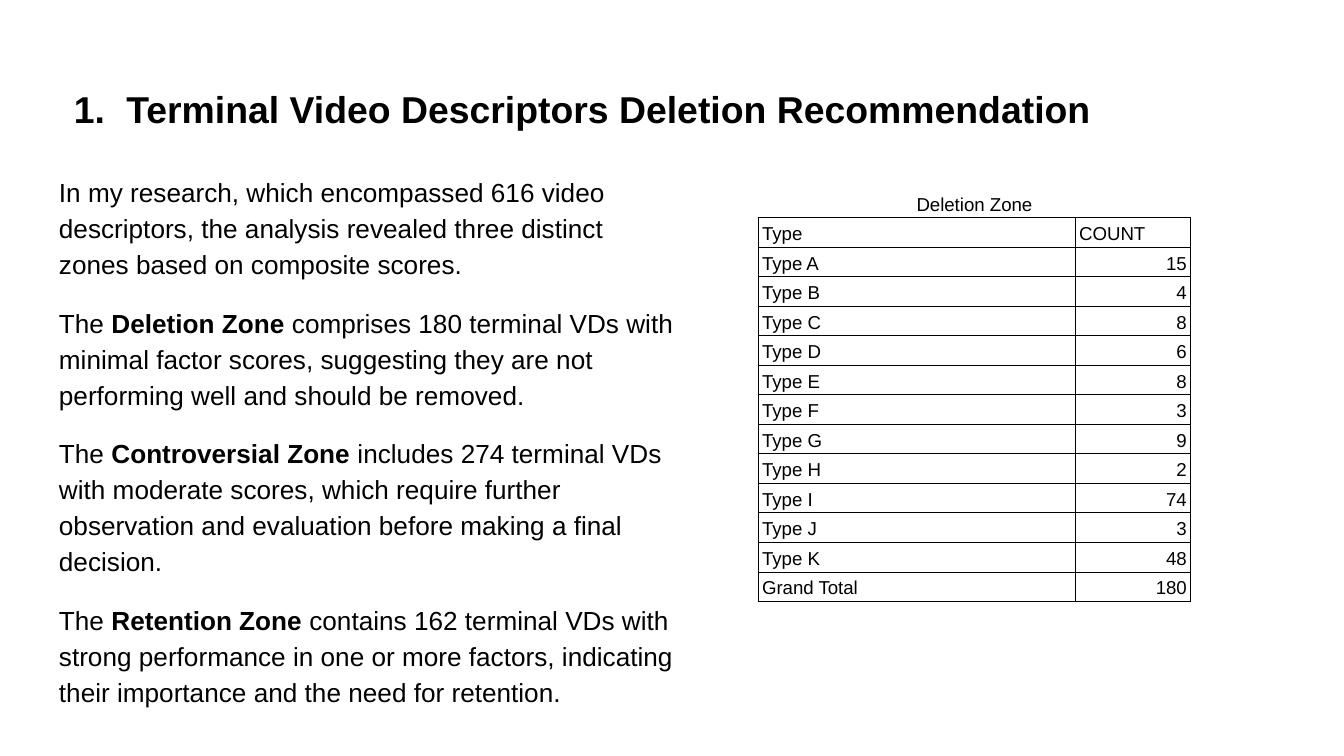
from lxml.etree import SubElement as Sub
from pptx import Presentation
from pptx.dml.color import RGBColor
from pptx.enum.text import MSO_ANCHOR as Anchor, MSO_AUTO_SIZE as Auto, PP_ALIGN as Align
from pptx.oxml import parse_xml
from pptx.oxml.ns import nsdecls, qn
from pptx.util import Inches, Pt

BODY = [
    "In my research, which encompassed 616 video descriptors, the analysis "
    "revealed three distinct zones based on composite scores.",
    "The *Deletion Zone* comprises 180 terminal VDs with minimal factor scores, "
    "suggesting they are not performing well and should be removed.",
    "The *Controversial Zone* includes 274 terminal VDs with moderate scores, which "
    "require further observation and evaluation before making a final decision.",
    "The *Retention Zone* contains 162 terminal VDs with strong performance in one "
    "or more factors, indicating their importance and the need for retention.",
]
COUNTS = [15, 4, 8, 6, 8, 3, 9, 2, 74, 3, 48]


def color(code):
    return RGBColor.from_string(code)


class Deck:
    face, ink, gap = "Arial", "000000", 1.15

    def __init__(self, wide, high):
        self.prs = Presentation()
        self.prs.slide_width, self.prs.slide_height = Inches(wide), Inches(high)
        self.slide = self.prs.slides.add_slide(self.prs.slide_layouts[5])

    def style(self, para, size, bold=False, align=Align.LEFT):
        para.alignment, para.line_spacing = align, self.gap
        font = para.font
        font.name, font.size, font.bold = self.face, Pt(size), bold
        font.color.rgb = color(self.ink)

    def frame(self, frame):
        frame.word_wrap, frame.auto_size = True, Auto.NONE
        frame.vertical_anchor = Anchor.TOP
        frame.margin_left = frame.margin_right = Inches(0.1)
        frame.margin_top = frame.margin_bottom = Inches(0.1)

    def title(self, text, left, top, wide, high):
        shape = self.slide.shapes.title
        shape.left, shape.top = Inches(left), Inches(top)
        shape.width, shape.height = Inches(wide), Inches(high)
        self.frame(shape.text_frame)
        para = shape.text_frame.paragraphs[0]
        para.text = text
        para.line_spacing, para.space_before = self.gap, Pt(12)
        # Automatic number with a hanging indent
        props = para._p.get_or_add_pPr()
        props.set("marL", str(Inches(0.5)))
        props.set("indent", str(Inches(-0.39)))
        Sub(Sub(props, qn("a:buClr")), qn("a:srgbClr"), val=self.ink)
        Sub(props, qn("a:buFont"), typeface=self.face)
        Sub(props, qn("a:buAutoNum"), type="arabicPeriod")
        self.style(para, 20, bold=True)

    def text(self, parts, left, top, wide, high):
        box = self.slide.shapes.add_textbox(*map(Inches, (left, top, wide, high)))
        frame = box.text_frame
        self.frame(frame)
        for i, part in enumerate(parts):
            para = frame.add_paragraph() if i else frame.paragraphs[0]
            para.space_before = Pt(12)
            self.style(para, 14)
            # Text between asterisks is bold
            for j, piece in enumerate(part.split("*")):
                run = para.add_run()
                run.text = piece
                if j % 2:
                    run.font.bold = True
        para.space_after = Pt(12)

    def border(self, cell, sides):
        props = cell._tc.get_or_add_tcPr()
        for i, side in enumerate("LRTB"):
            fill = "<a:noFill/>"
            if side in sides:
                fill = f'<a:solidFill><a:srgbClr val="{self.ink}"/></a:solidFill>'
            line = f'<a:ln{side} {nsdecls("a")} w="{Pt(0.6)}">{fill}</a:ln{side}>'
            props.insert(i, parse_xml(line))

    def cell(self, cell, text, align, sides):
        cell.text = text
        cell.vertical_anchor = Anchor.BOTTOM
        cell.margin_left = cell.margin_right = Inches(0.03)
        cell.margin_top = cell.margin_bottom = Inches(0.02)
        cell.fill.background()
        self.border(cell, sides)
        self.style(cell.text_frame.paragraphs[0], 10, align=align)

    def table(self, head, rows, left, top, cols, high):
        count = len(rows) + 1
        size = map(Inches, (left, top, sum(cols), high * count))
        table = self.slide.shapes.add_table(count, len(cols), *size).table
        table.first_row = table.horz_banding = False
        for col, wide in zip(table.columns, cols):
            col.width = Inches(wide)
        for row in table.rows:
            row.height = Inches(high)
        # Caption row spans the table
        table.cell(0, 0).merge(table.cell(0, len(cols) - 1))
        for j in range(len(cols)):
            self.cell(table.cell(0, j), "" if j else head, Align.CENTER, "B")
        for i, row in enumerate(rows, 1):
            for j, value in enumerate(row):
                align = Align.RIGHT if isinstance(value, int) else Align.LEFT
                self.cell(table.cell(i, j), str(value), align, "LRTB")


def main():
    # Widescreen, 16 to 9
    deck = Deck(10, 10 * 9 / 16)
    # Heading and findings
    deck.title("Terminal Video Descriptors Deletion Recommendation",
               0.34, 0.49, 9.32, 0.63)
    deck.text(BODY, 0.34, 1.18, 4.79, 4.36)
    # Counts by type
    types = [(f"Type {mark}", n) for mark, n in zip("ABCDEFGHIJK", COUNTS)]
    rows = [("Type", "COUNT"), *types, ("Grand Total", sum(COUNTS))]
    deck.table("Deletion Zone", rows, 5.64, 1.4, (2.36, 0.86), 0.22)
    deck.prs.save("out.pptx")


if __name__ == "__main__":
    main()
